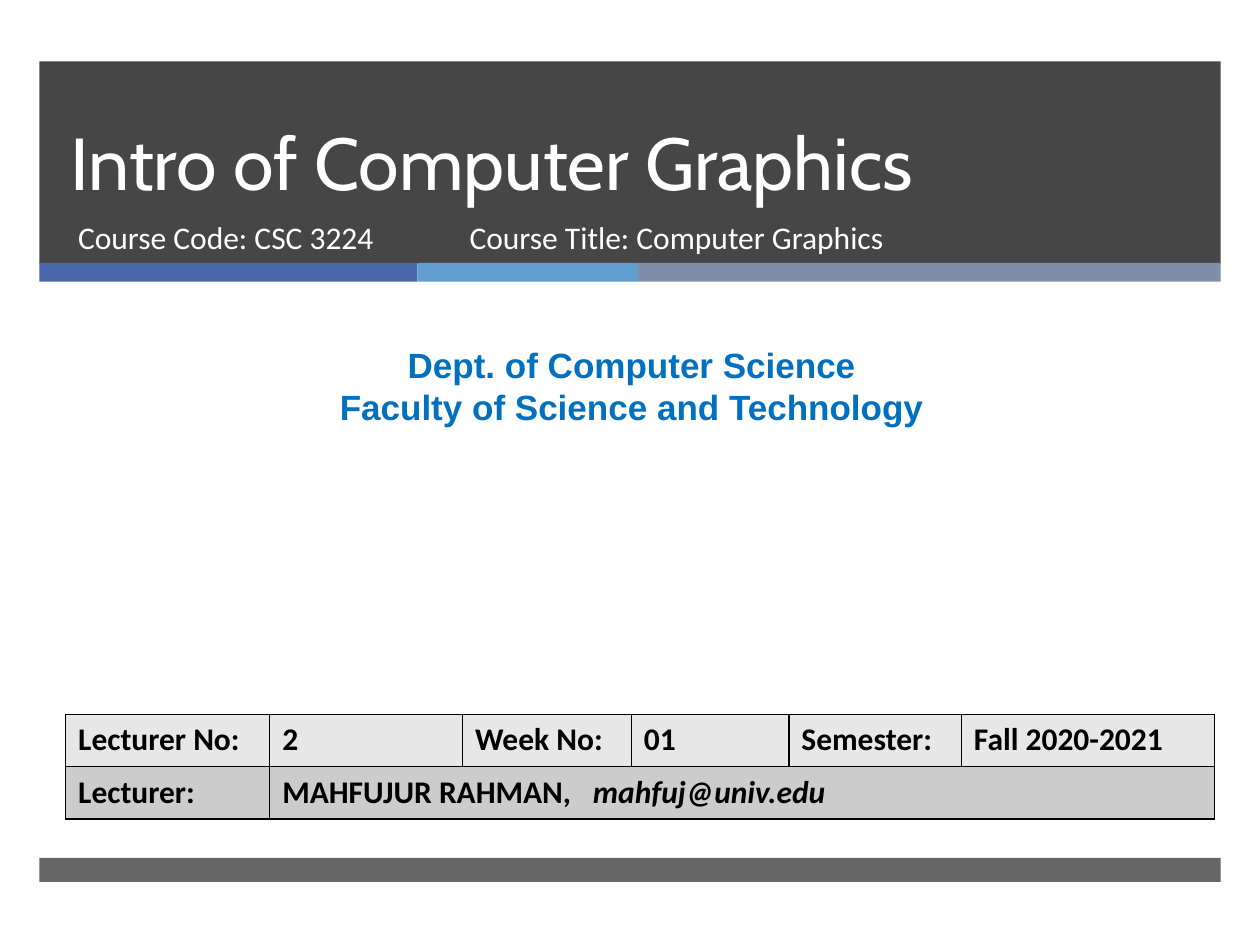
from lxml import etree
from pptx import Presentation
from pptx.dml.color import RGBColor
from pptx.enum.shapes import MSO_SHAPE
from pptx.enum.text import MSO_ANCHOR, PP_ALIGN
from pptx.oxml.ns import qn
from pptx.util import Pt

RECTANGLE = MSO_SHAPE.RECTANGLE
TOP, BOTTOM = MSO_ANCHOR.TOP, MSO_ANCHOR.BOTTOM
LEFT, CENTER = PP_ALIGN.LEFT, PP_ALIGN.CENTER

WHITE = RGBColor(0xFF, 0xFF, 0xFF)
BLACK = RGBColor(0x00, 0x00, 0x00)
CHARCOAL = RGBColor(0x26, 0x26, 0x26)
INDIGO = RGBColor(0x4A, 0x66, 0xAC)
SKY = RGBColor(0x62, 0x9D, 0xD1)
SLATE = RGBColor(0x7F, 0x8F, 0xA9)
BLUE = RGBColor(0x00, 0x70, 0xC0)
LIGHT_GRAY = RGBColor(0xE7, 0xE7, 0xE7)
MID_GRAY = RGBColor(0xCC, 0xCC, 0xCC)

BAND_LEFT, BAND_WIDTH = 22.5, 675
STRIPES = [(INDIGO, 216), (SKY, 126), (SLATE, 333)]
COLUMN_WIDTHS = [116.6, 110.2, 96.5, 90, 98.6, 144.7]
ROW_HEIGHT = 29.9
EMAIL_TAB = 177.5
LECTURE_ROW = ["Lecturer No:", "2", "Week No:", "01", "Semester:", "Fall 2020-2021"]


class SlideBuilder:
    body_font = "Calibri"
    body_size = 18

    def __init__(self, slide):
        self.slide = slide

    def bar(self, left, top, width, height, color, opacity=100):
        shape = self.slide.shapes.add_shape(
            RECTANGLE, Pt(left), Pt(top), Pt(width), Pt(height))
        shape.shadow.inherit = False
        shape.line.fill.background()
        shape.fill.solid()
        shape.fill.fore_color.rgb = color
        if opacity < 100:
            color_element = shape.fill._xPr.find(qn("a:solidFill"))[0]
            etree.SubElement(color_element, qn("a:alpha"), val=str(opacity * 1000))

    def style(self, paragraph, color, font=body_font, size=body_size, bold=False):
        paragraph.font.name = font
        paragraph.font.size = Pt(size)
        paragraph.font.bold = bold
        paragraph.font.color.rgb = color

    def text(self, left, top, width, height, lines, color=WHITE, anchor=TOP,
             align=LEFT, line_spacing=None, **font_style):
        box = self.slide.shapes.add_textbox(Pt(left), Pt(top), Pt(width), Pt(height))
        frame = box.text_frame
        frame.word_wrap = True
        frame.vertical_anchor = anchor
        frame.text = "\n".join(lines)
        for paragraph in frame.paragraphs:
            paragraph.alignment = align
            if line_spacing:
                paragraph.line_spacing = Pt(line_spacing)
            self.style(paragraph, color, **font_style)

    def table(self, left, top, column_widths, row_height, row_fills):
        """Add an empty table with one fill per row and a thin black grid."""
        table = self.slide.shapes.add_table(
            len(row_fills), len(column_widths), Pt(left), Pt(top),
            Pt(sum(column_widths)), Pt(row_height * len(row_fills))).table
        for column, width in zip(table.columns, column_widths):
            column.width = Pt(width)
        for row, fill in zip(table.rows, row_fills):
            row.height = Pt(row_height)
            for cell in row.cells:
                self.border(cell)
                cell.fill.solid()
                cell.fill.fore_color.rgb = fill
        return table

    def border(self, cell):
        properties = cell._tc.get_or_add_tcPr()
        for side in ("lnL", "lnR", "lnT", "lnB"):
            line = etree.SubElement(properties, qn(f"a:{side}"), w=str(Pt(1)))
            fill = etree.SubElement(line, qn("a:solidFill"))
            etree.SubElement(fill, qn("a:srgbClr"), val=str(BLACK))

    def cell_text(self, cell, *texts):
        """Fill a cell with bold runs and return its paragraph."""
        paragraph = cell.text_frame.paragraphs[0]
        for text in texts:
            paragraph.add_run().text = text
        self.style(paragraph, BLACK, bold=True)
        return paragraph


def add_tab_stop(paragraph, position):
    properties = paragraph._p.get_or_add_pPr()
    tabs = etree.Element(qn("a:tabLst"))
    etree.SubElement(tabs, qn("a:tab"), pos=str(Pt(position)), algn="l")
    properties.find(qn("a:defRPr")).addprevious(tabs)


def main():
    presentation = Presentation()
    presentation.slide_width, presentation.slide_height = Pt(720), Pt(540)
    slide = presentation.slides.add_slide(presentation.slide_layouts[6])
    builder = SlideBuilder(slide)

    builder.bar(BAND_LEFT, 35, BAND_WIDTH, 115.75, CHARCOAL, opacity=85)
    stripe_left = BAND_LEFT
    for color, width in STRIPES:
        builder.bar(stripe_left, 150.25, width, 10.75, color)
        stripe_left += width
    builder.bar(BAND_LEFT, 490.25, BAND_WIDTH, 13.75, CHARCOAL, opacity=70)

    builder.text(33.25, 35, 615, 86, ["Intro of Computer Graphics"], anchor=BOTTOM,
                 line_spacing=46, font="Cabin", size=42)
    builder.text(37.5, 121, 219.5, 38, ["Course Code: CSC 3224"])
    builder.text(261.25, 121.25, 327.5, 38, ["Course Title: Computer Graphics"])
    builder.text(5.75, 193, 710.5, 55.5,
                 ["Dept. of Computer Science", "Faculty of Science and Technology"],
                 color=BLUE, align=CENTER, font="Arial", size=20, bold=True)

    table = builder.table(37.5, 408.25, COLUMN_WIDTHS, ROW_HEIGHT,
                          [LIGHT_GRAY, MID_GRAY])
    for cell, text in zip(table.rows[0].cells, LECTURE_ROW):
        builder.cell_text(cell, text)
    builder.cell_text(table.cell(1, 0), "Lecturer:")
    lecturer_cell = table.cell(1, 1)
    lecturer_cell.merge(table.cell(1, 5))
    lecturer = builder.cell_text(lecturer_cell, "MAHFUJUR RAHMAN,\t", "mahfuj@univ.edu")
    lecturer.runs[1].font.italic = True
    add_tab_stop(lecturer, EMAIL_TAB)

    presentation.save("out.pptx")


if __name__ == "__main__":
    main()
